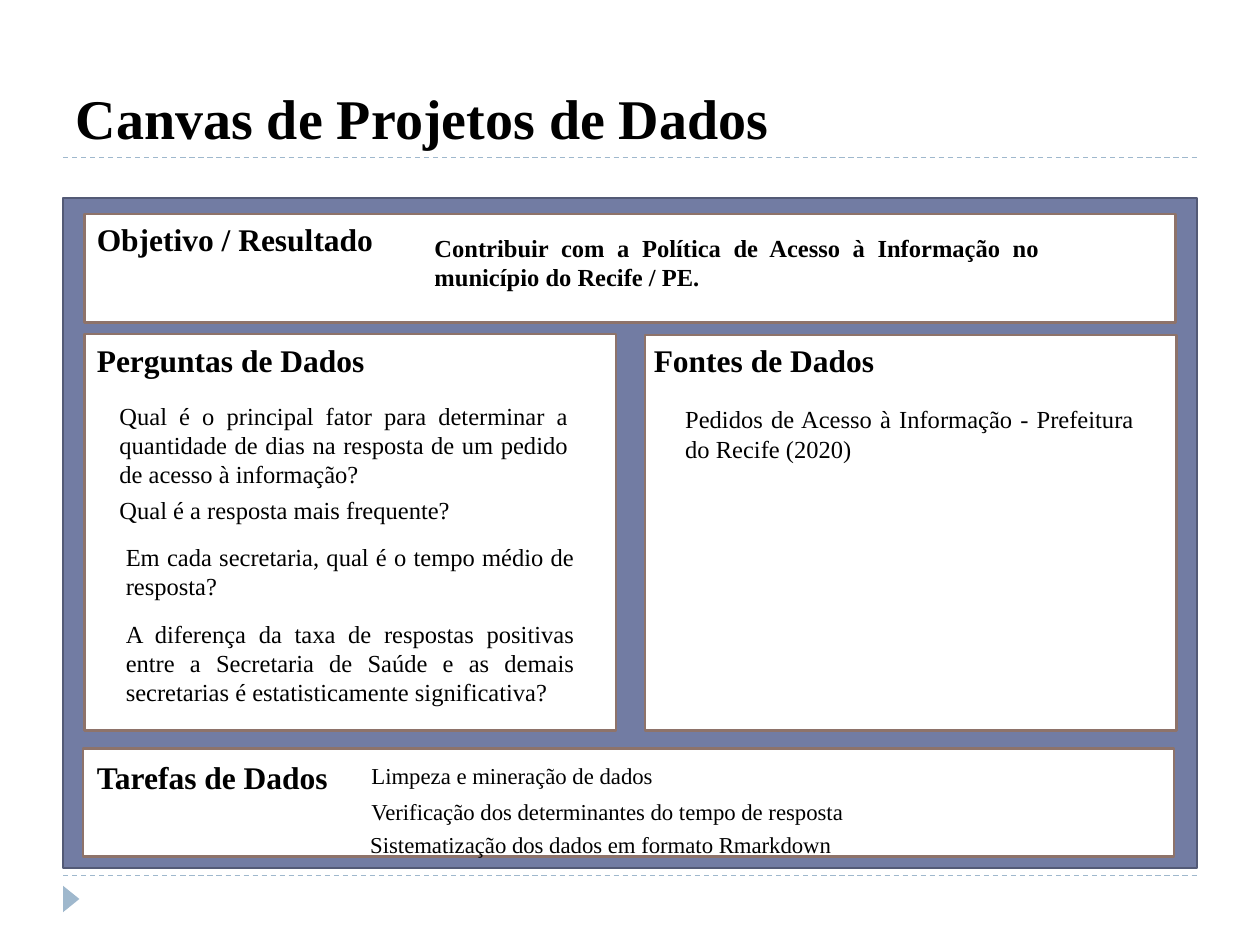
"""Build the data project canvas slide."""
from dataclasses import dataclass

from lxml import etree
from pptx import Presentation
from pptx.dml.color import RGBColor
from pptx.enum.dml import MSO_LINE
from pptx.enum.shapes import MSO_CONNECTOR, MSO_SHAPE
from pptx.enum.text import MSO_ANCHOR, MSO_AUTO_SIZE, PP_ALIGN
from pptx.oxml.ns import qn
from pptx.util import Inches, Pt

RECTANGLE, TRIANGLE = MSO_SHAPE.RECTANGLE, MSO_SHAPE.ISOSCELES_TRIANGLE
STRAIGHT, DASH = MSO_CONNECTOR.STRAIGHT, MSO_LINE.DASH
LEFT, JUSTIFY = PP_ALIGN.LEFT, PP_ALIGN.JUSTIFY
BOTTOM, TOP = MSO_ANCHOR.BOTTOM, MSO_ANCHOR.TOP
NO_FIT, GROW = MSO_AUTO_SIZE.NONE, MSO_AUTO_SIZE.SHAPE_TO_FIT_TEXT

BLACK = RGBColor(0x00, 0x00, 0x00)
WHITE = RGBColor(0xFF, 0xFF, 0xFF)
SKY = RGBColor(0x9F, 0xB8, 0xCD)
SLATE = RGBColor(0x72, 0x7C, 0xA3)
DARK_SLATE = RGBColor(0x53, 0x5A, 0x76)
BROWN = RGBColor(0x8E, 0x73, 0x6A)
FONT = "Times New Roman"


@dataclass(frozen=True)
class Area:
    """A rectangle on the slide, in inches."""
    left: float
    top: float
    width: float
    height: float

    def lengths(self):
        """Return the four measures as slide lengths."""
        return [Inches(n) for n in (self.left, self.top, self.width, self.height)]


@dataclass(frozen=True)
class Note:
    """A text and the area that holds it."""
    area: Area
    text: str


PANELS = [
    Area(0.67, 1.7, 8.66, 0.86),
    Area(0.67, 2.65, 4.22, 3.15),
    Area(5.12, 2.66, 4.22, 3.14),
    Area(0.66, 5.94, 8.66, 0.86),
]
HEADINGS = [
    Note(Area(0.67, 1.7, 5, 0.4), "Objetivo / Resultado"),
    Note(Area(0.67, 2.66, 2.68, 0.4), "Perguntas de Dados"),
    Note(Area(5.09, 2.66, 2.68, 0.4), "Fontes de Dados"),
    Note(Area(0.67, 5.97, 2.68, 0.4), "Tarefas de Dados"),
]
GOAL = Note(Area(3.35, 1.8, 5, 0.57),
            "Contribuir com a Política de Acesso à Informação no município do Recife / PE.")
DETAILS = [
    Note(Area(0.85, 3.13, 3.76, 0.81),
         "Qual é o principal fator para determinar a quantidade de dias na resposta "
         "de um pedido de acesso à informação?"),
    Note(Area(0.85, 3.88, 3.76, 0.34), "Qual é a resposta mais frequente?"),
    Note(Area(0.9, 4.25, 3.76, 0.57),
         "Em cada secretaria, qual é o tempo médio de resposta?"),
    Note(Area(0.9, 4.86, 3.76, 0.81),
         "A diferença da taxa de respostas positivas entre a Secretaria de Saúde e as "
         "demais secretarias é estatisticamente significativa?"),
    Note(Area(5.34, 3.16, 3.76, 0.57),
         "Pedidos de Acesso à Informação - Prefeitura do Recife (2020)"),
]
TASKS = [
    Note(Area(2.85, 6, 4.57, 0.32), "Limpeza e mineração de dados"),
    Note(Area(2.85, 6.28, 4.47, 0.32),
         "Verificação dos determinantes do tempo de resposta"),
    Note(Area(2.84, 6.54, 4.47, 0.32),
         "Sistematização dos dados em formato Rmarkdown"),
]


def write_text(box, text: str, *, size: float, bold: bool = False,
               align=LEFT, anchor=TOP, fit=GROW) -> None:
    """Fill a box with one formatted paragraph."""
    frame = box.text_frame
    frame.word_wrap = True
    frame.auto_size = fit
    frame.vertical_anchor = anchor
    para = frame.paragraphs[0]
    para.alignment = align
    span = para.add_run()
    span.text = text
    span.font.name = FONT
    span.font.size = Pt(size)
    span.font.bold = bold
    span.font.color.rgb = BLACK


def add_notes(page, notes: list[Note], **style) -> None:
    """Add a text box for each note in a common style."""
    for note in notes:
        write_text(page.shapes.add_textbox(*note.area.lengths()), note.text, **style)


def add_block(page, kind, area: Area, fill: RGBColor, outline: RGBColor | None = None):
    """Add a flat filled shape with an optional outline."""
    block = page.shapes.add_shape(kind, *area.lengths())
    block.shadow.inherit = False
    block.fill.solid()
    block.fill.fore_color.rgb = fill
    if outline is None:
        block.line.fill.background()
    else:
        block.line.color.rgb = outline
        block.line.width = Pt(1.5)
    return block


def add_rule(page, top: float) -> None:
    """Add a dashed line across the slide."""
    rule = page.shapes.add_connector(
        STRAIGHT, Inches(0.5), Inches(top), Inches(9.5), Inches(top))
    rule.line.color.rgb = SKY
    rule.line.width = Pt(0.75)
    rule.line.dash_style = DASH
    etree.SubElement(rule.element.spPr, qn("a:effectLst"))


def main() -> None:
    """Build and save the deck."""
    deck = Presentation()
    deck.slide_width, deck.slide_height = Inches(10), Inches(7.5)
    page = deck.slides.add_slide(deck.slide_layouts[5])

    for top in (6.95, 1.25):
        add_rule(page, top)
    marker = add_block(page, TRIANGLE, Area(0.46, 7.07, 0.21, 0.13), SKY)
    marker.rotation = 90

    title = page.shapes.title
    title.left, title.top, title.width, title.height = Area(0.5, 0.17, 9, 1.08).lengths()
    write_text(title, "Canvas de Projetos de Dados",
               size=32, bold=True, anchor=BOTTOM, fit=NO_FIT)

    add_block(page, RECTANGLE, Area(0.5, 1.57, 9, 5.32), SLATE, DARK_SLATE)
    for panel in PANELS:
        add_block(page, RECTANGLE, panel, WHITE, BROWN)
    add_notes(page, HEADINGS, size=18, bold=True)
    add_notes(page, [GOAL], size=14, bold=True, align=JUSTIFY)
    add_notes(page, DETAILS, size=14, align=JUSTIFY)
    add_notes(page, TASKS, size=13)
    deck.save("out.pptx")


main()
